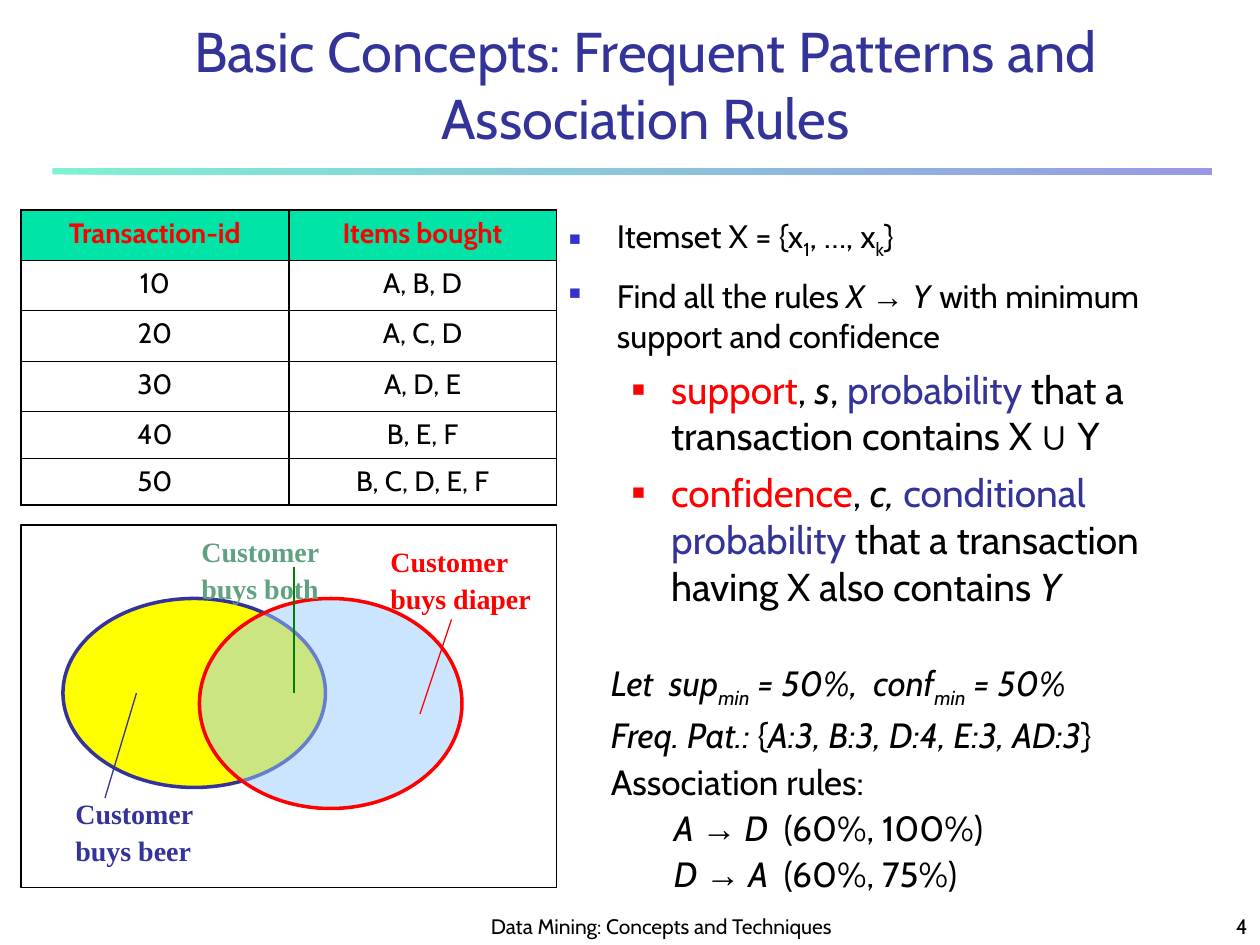
from lxml import etree
from pptx import Presentation
from pptx.dml.color import RGBColor
from pptx.enum.shapes import MSO_CONNECTOR, MSO_SHAPE
from pptx.enum.text import MSO_ANCHOR, MSO_AUTO_SIZE, PP_ALIGN
from pptx.oxml import parse_xml
from pptx.oxml.ns import nsdecls, qn
from pptx.util import Inches, Pt

LINE = MSO_CONNECTOR.STRAIGHT
OVAL, RECTANGLE = MSO_SHAPE.OVAL, MSO_SHAPE.RECTANGLE
BOTTOM, TOP = MSO_ANCHOR.BOTTOM, MSO_ANCHOR.TOP
CENTER, LEFT, RIGHT = PP_ALIGN.CENTER, PP_ALIGN.LEFT, PP_ALIGN.RIGHT
FIXED = MSO_AUTO_SIZE.NONE
BLACK, RED, NAVY, MINT = "000000", "FF0000", "333399", "00E4A8"
colour = RGBColor.from_string

deck = Presentation()
deck.slide_width, deck.slide_height = Inches(10), Inches(7.5)
CELL = deck.slide_width / 120


def grid(*cells):
    return [round(cell * CELL) for cell in cells]


def write(frame, paragraphs, look, layout):
    for index, spans in enumerate(paragraphs):
        para = frame.paragraphs[0] if index == 0 else frame.add_paragraph()
        for name, value in layout.items():
            setattr(para, name, value)
        for text, *changes in spans:
            span = para.add_run()
            span.text = text
            style = {**look, **(changes[0] if changes else {})}
            span.font.color.rgb = colour(style.pop("ink"))
            if style.pop("subscript", False):
                span.font._element.set("baseline", "-25000")
            for name, value in style.items():
                setattr(span.font, name, value)


page = deck.slides.add_slide(deck.slide_layouts[1])
shapes = page.shapes
ITALIC, UPRIGHT, SUB = {"italic": True}, {"italic": False}, {"subscript": True}
SYMBOL = {"name": "Arial", "italic": False}
RED_INK, NAVY_INK = {"ink": RED}, {"ink": NAVY}
CABIN = {"name": "Cabin", "ink": BLACK}

rule = shapes.add_shape(RECTANGLE, *grid(5, 16, 110.4, 0.6))
rule.shadow.inherit = False
rule.line.fill.background()
rule.fill.gradient()
rule.fill.gradient_angle = 0
for stop, shade in zip(rule.fill.gradient_stops, (MINT, "3333CC")):
    stop.color.rgb = colour(shade)
for shade in rule._element.spPr.iter(qn("a:srgbClr")):
    etree.SubElement(shade, qn("a:alpha"), val="50000")

for text, left, width, align in (
    ("Data Mining: Concepts and Techniques", 44, 38, CENTER),
    ("4", 95, 25, RIGHT),
):
    box = shapes.add_textbox(*grid(left, 85, width, 5))
    box.text_frame.word_wrap = True
    box.text_frame.vertical_anchor = BOTTOM
    write(box.text_frame, [[(text,)]], {**CABIN, "size": Pt(12)}, {"alignment": align})

title, body = shapes.title, page.placeholders[1]
for holder, place, anchor in (
    (title, (9, 3, 105, 12), BOTTOM),
    (body, (53, 20, 65, 42), TOP),
):
    holder.left, holder.top, holder.width, holder.height = grid(*place)
    holder.text_frame.auto_size = FIXED
    holder.text_frame.vertical_anchor = anchor
write(title.text_frame, [[("Basic Concepts: Frequent Patterns and Association Rules",)]],
      {**CABIN, "ink": NAVY, "size": Pt(32)}, {"alignment": CENTER})

LARGE = {"size": Pt(22.2)}
definitions = [
    [("Itemset X = {x",), ("1", SUB), (", …, x",), ("k", SUB), ("}",)],
    [("Find all the rules ",), ("X ", ITALIC), ("→ ", SYMBOL), ("Y", ITALIC),
     (" ", {**ITALIC, **LARGE}), ("with minimum support and confidence",)],
    [("support", {**RED_INK, **LARGE}), (", ", LARGE), ("s", {**ITALIC, **LARGE}),
     (", ", LARGE), ("probability", {**NAVY_INK, **LARGE}),
     (" that a transaction contains X ", LARGE), ("∪", {**SYMBOL, **LARGE}), (" Y", LARGE)],
    [("confidence", {**RED_INK, **LARGE}), (", ", LARGE), ("c, ", {**ITALIC, **LARGE}),
     ("conditional probability", {**NAVY_INK, **LARGE}),
     (" that a transaction having X also contains ", LARGE), ("Y", {**ITALIC, **LARGE})],
]
write(body.text_frame, definitions, {**CABIN, "size": Pt(18.5)}, {"alignment": LEFT})
outline = [(0, 0.38, 0.38, 5, "3333CC", 60)] * 2 + [(1, 0.81, 0.31, 6, RED, 55)] * 2
for para, (level, margin, hang, gap, shade, percent) in zip(body.text_frame.paragraphs, outline):
    para.level = level
    para.space_before = Pt(gap)
    props = para._p.get_or_add_pPr()
    props.set("marL", str(Inches(margin)))
    props.set("indent", str(-Inches(hang)))
    etree.SubElement(etree.SubElement(props, qn("a:buClr")), qn("a:srgbClr"), val=shade)
    etree.SubElement(props, qn("a:buSzPct"), val=str(percent * 1000))
    etree.SubElement(props, qn("a:buFont"), typeface="Arial")
    etree.SubElement(props, qn("a:buChar"), char="■")

example = shapes.add_textbox(*grid(57, 62, 60, 22)).text_frame
example.word_wrap = True
results = [
    [("Let  sup",), ("min", SUB), (" = 50%,  conf",), ("min", SUB), (" = 50%",)],
    [("Freq. Pat.: ",), ("{", UPRIGHT), ("A:3, B:3, D:4, E:3, AD:3",), ("}", UPRIGHT)],
    [("Association rules:", UPRIGHT)],
]
for cause, effect, measures in (("A", "D", "(60%, 100%)"), ("D", "A", "(60%, 75%)")):
    results.append([(f"{cause} ",), ("→", SYMBOL), (f" {effect}  ",), (measures, UPRIGHT)])
write(example, results, {**CABIN, "size": Pt(20), "italic": True}, {"line_spacing": 1.1})
for para in example.paragraphs[3:]:
    para.level = 1
    para._p.get_or_add_pPr().set("marL", str(Inches(0.5)))

venn = shapes.add_group_shape().shapes
for kind, place, fill, edge, weight in (
    (OVAL, (6, 57, 25, 18), "FFFF00", NAVY, 2),
    (OVAL, (19, 57, 25, 20), "99CCFF", RED, 2),
    (RECTANGLE, (2, 50, 51, 34.5), None, BLACK, 0.75),
):
    area = venn.add_shape(kind, *grid(*place))
    area.shadow.inherit = False
    area.line.color.rgb = colour(edge)
    area.line.width = Pt(weight)
    if fill:
        area.fill.solid()
        area.fill.fore_color.rgb = colour(fill)
    else:
        area.fill.background()
    if fill == "99CCFF":
        etree.SubElement(area._element.spPr.find(".//" + qn("a:srgbClr")), qn("a:alpha"), val="50000")

for ends, shade in (
    ((13, 66, 10, 76), NAVY),
    ((40, 68, 43, 59), RED),
    ((28, 66, 28, 54), "008000"),
):
    pointer = venn.add_connector(LINE, *grid(*ends))
    pointer.line.color.rgb = colour(shade)
    pointer.line.width = Pt(0.75)
    etree.SubElement(pointer._element.spPr, qn("a:effectLst"))

for item, place, shade in (
    ("diaper", (36, 51, 16, 8.25), RED),
    ("both", (18, 50, 14, 8.25), "5FA180"),
    ("beer", (6, 75, 14, 8.25), NAVY),
):
    label = venn.add_textbox(*grid(*place)).text_frame
    label.word_wrap = True
    write(label, [[("Customer",)], [(f"buys {item}",)]],
          {"name": "Times New Roman", "size": Pt(16), "bold": True, "ink": shade},
          {"line_spacing": 1.1})

transactions = [("Transaction-id", "Items bought"), ("10", "A, B, D"), ("20", "A, C, D"),
                ("30", "A, D, E"), ("40", "B, E, F"), ("50", "B, C, D, E, F")]
last = len(transactions) - 1
table = shapes.add_table(len(transactions), 2, *grid(2, 20, 51, 28)).table
table.first_row = table.horz_banding = False
for column in table.columns:
    column.width = grid(25.5)[0]
for row, values in enumerate(transactions):
    table.rows[row].height = Inches(0.4 if row < 4 else 0.37)
    weights = {"lnL": 1.08, "lnR": 1.08, "lnT": 1.08 if row < 2 else 0.45,
               "lnB": 1.08 if row in (0, last) else 0.45}
    for column, text in enumerate(values):
        cell = table.cell(row, column)
        props = cell._tc.get_or_add_tcPr()
        for side, weight in weights.items():
            props.append(parse_xml(
                f'<a:{side} {nsdecls("a")} w="{Pt(weight)}"><a:solidFill>'
                f'<a:srgbClr val="{BLACK}"/></a:solidFill></a:{side}>'))
        if row == 0:
            cell.fill.solid()
            cell.fill.fore_color.rgb = colour(MINT)
        else:
            cell.fill.background()
        write(cell.text_frame, [[(text,)]],
              {**CABIN, "size": Pt(16), "bold": row == 0, "ink": BLACK if row else RED},
              {"alignment": CENTER, "space_before": Pt(4)})

deck.save("out.pptx")
